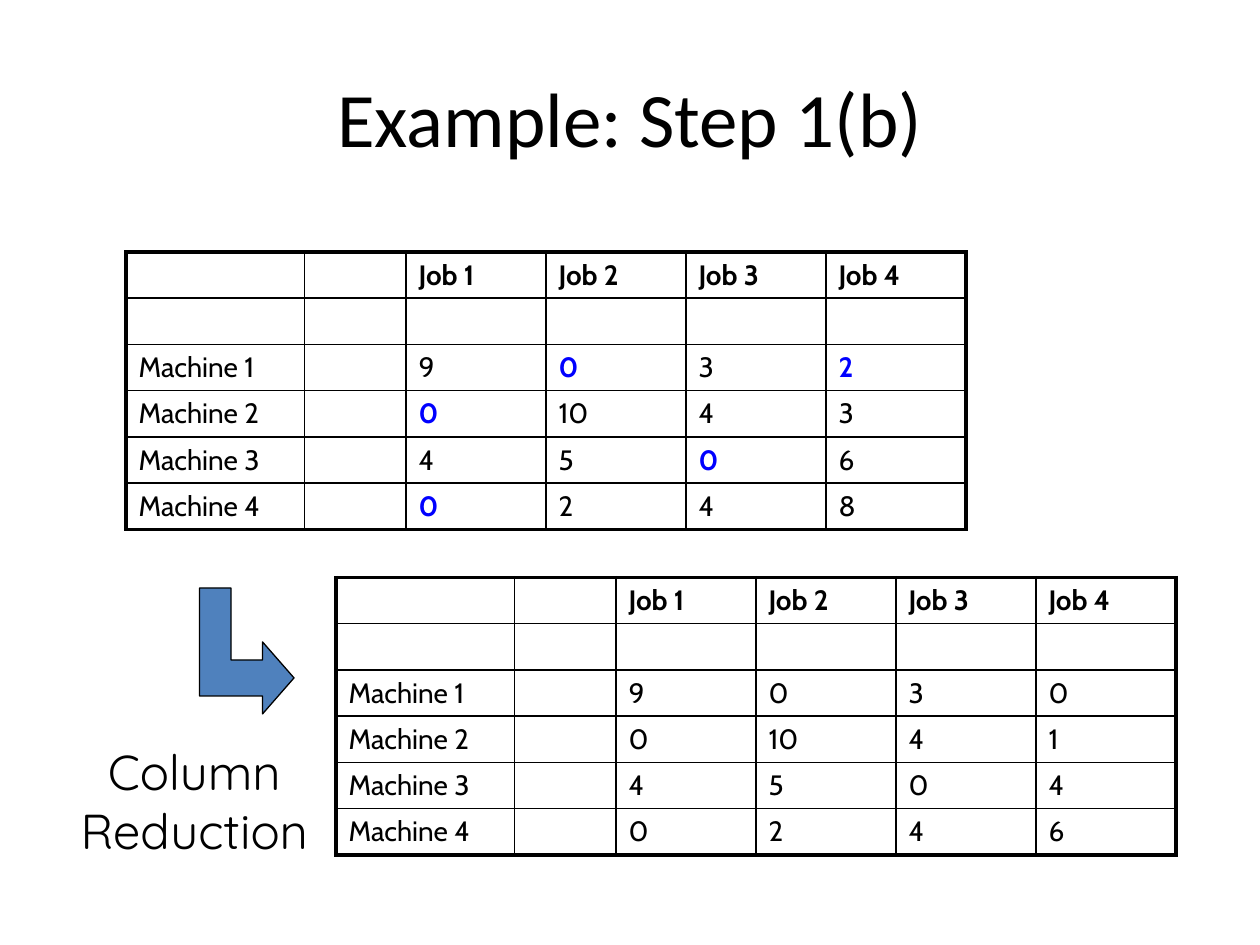
"""Build a slide showing the column reduction step of an assignment problem."""
import dataclasses

import lxml.etree
import pptx
import pptx.dml.color
import pptx.enum.text
import pptx.oxml.ns
import pptx.util

Pt = pptx.util.Pt
RGB = pptx.dml.color.RGBColor
qn = pptx.oxml.ns.qn


@dataclasses.dataclass(frozen=True)
class Theme:
    """Colours, fonts, type sizes and line widths of the slide."""
    ink: str = "000000"
    mark: str = "0000FF"
    arrow: str = "4F81BD"
    head: str = "Calibri"
    body: str = "Cabin"
    note: str = "Quicksand"
    title: int = 44
    label: int = 28
    cell: int = 16
    thin: float = 1
    thick: float = 2.25
    edge: float = 0.75


THEME = Theme()
WIDTHS = [102, 58, 80, 80, 80, 80]
JOBS = ["Job 1", "Job 2", "Job 3", "Job 4"]
BEFORE = [[9, 0, 3, 2], [0, 10, 4, 3], [4, 5, 0, 6], [0, 2, 4, 8]]
AFTER = [[9, 0, 3, 0], [0, 10, 4, 1], [4, 5, 0, 4], [0, 2, 4, 6]]
MARKS = {(0, 1), (0, 3), (1, 0), (2, 2), (3, 0)}


def add_run(para, text, font, size, color=THEME.ink, bold=False):
    """Add one styled run to a paragraph."""
    run = para.add_run()
    run.text = text
    run.font.name = font
    run.font.size = Pt(size)
    run.font.bold = bold
    run.font.color.rgb = RGB.from_string(color)


def add_text(slide, box, text, font, size, anchor):
    """Place a centred, wrapping text in the box."""
    frame = slide.shapes.add_textbox(*map(Pt, box)).text_frame
    frame.word_wrap = True
    frame.vertical_anchor = anchor
    para = frame.paragraphs[0]
    para.alignment = pptx.enum.text.PP_ALIGN.CENTER
    add_run(para, text, font, size)


def set_edges(cell, edges):
    """Draw the cell borders, given as a width for each side."""
    props = cell._tc.get_or_add_tcPr()
    for side, width in edges.items():
        line = lxml.etree.SubElement(props, qn(f"a:ln{side}"), w=str(Pt(width)))
        fill = lxml.etree.SubElement(line, qn("a:solidFill"))
        lxml.etree.SubElement(fill, qn("a:srgbClr"), val=THEME.ink)


def add_grid(slide, box, costs, marks=()):
    """Place a cost table in the box, with the marked costs in bold blue."""
    rows = [["", "", *JOBS], [""] * len(WIDTHS)]
    rows += [[f"Machine {i}", "", *map(str, line)]
             for i, line in enumerate(costs, 1)]
    last, end = len(rows) - 1, len(WIDTHS) - 1
    table = slide.shapes.add_table(
        len(rows), len(WIDTHS), *map(Pt, box)).table
    table.first_row = table.horz_banding = False
    for col, width in zip(table.columns, WIDTHS):
        col.width = Pt(width)
    for r, line in enumerate(rows):
        table.rows[r].height = Pt(box[3] / len(rows))
        for c, text in enumerate(line):
            cell = table.cell(r, c)
            outer = {"L": c == 0, "R": c == end, "T": r == 0, "B": r == last}
            set_edges(cell, {side: THEME.thick if rim else THEME.thin
                             for side, rim in outer.items()})
            cell.fill.background()
            para = cell.text_frame.paragraphs[0]
            if text:
                hit = (r - 2, c - 2) in marks
                add_run(para, text, THEME.body, THEME.cell,
                        THEME.mark if hit else THEME.ink, hit or r == 0)
            else:
                lxml.etree.SubElement(para._p, qn("a:endParaRPr"),
                                      sz=str(THEME.cell * 100))


def add_arrow(slide, box):
    """Place an arrow in the box that runs down and then turns right."""
    left, top, width, height = box
    steps = [(0, 0), (1, 0), (1, 4), (2, 4), (2, 3),
             (3, 5), (2, 7), (2, 6), (0, 6)]
    dots = [(Pt(left + width * x / 3), Pt(top + height * y / 7))
            for x, y in steps]
    build = slide.shapes.build_freeform(*dots[0])
    build.add_line_segments(dots[1:], close=True)
    shape = build.convert_to_shape()
    shape.shadow.inherit = False
    shape.fill.solid()
    shape.fill.fore_color.rgb = RGB.from_string(THEME.arrow)
    shape.line.color.rgb = RGB.from_string(THEME.ink)
    shape.line.width = Pt(THEME.edge)


def main():
    """Build and save the slide."""
    deck = pptx.Presentation()
    deck.slide_width, deck.slide_height = Pt(720), Pt(540)
    slide = deck.slides.add_slide(deck.slide_layouts[6])
    anchor = pptx.enum.text.MSO_ANCHOR
    add_text(slide, (36, 21.6, 648, 90), "Example: Step 1(b)",
             THEME.head, THEME.title, anchor.MIDDLE)
    add_grid(slide, (192, 330, 480, 158.4), AFTER)
    add_grid(slide, (72, 144, 480, 158.4), BEFORE, MARKS)
    add_arrow(slide, (114, 336, 54, 72))
    add_text(slide, (30, 420, 162, 77), "Column Reduction",
             THEME.note, THEME.label, anchor.TOP)
    deck.save("out.pptx")


if __name__ == "__main__":
    main()
